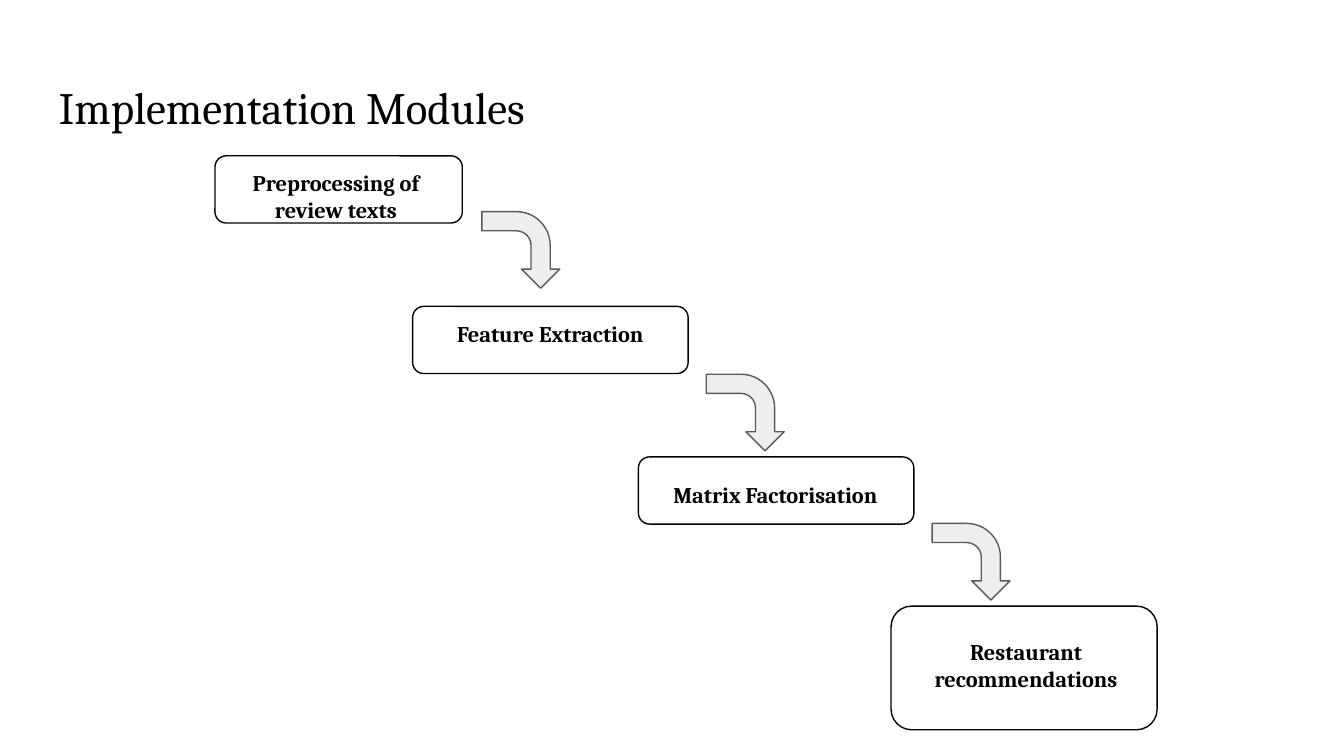
from pptx import Presentation
from pptx import util as u
from pptx.dml.color import RGBColor
from pptx.enum import shapes, text

COLORS = {"ink": "000000", "paper": "FFFFFF", "arrow": "EEEEEE", "arrow_line": "595959"}
FONT = "Cambria"
SLIDE_WIDTH = 10

MODULES = [
    ("Preprocessing of review texts", (1.6, 1.16, 1.84, 0.5), (1.58, 1.16, 1.84, 0.51)),
    ("Feature Extraction", (3.07, 2.28, 2.05, 0.5), (3.07, 2.28, 2.05, 0.5)),
    ("Matrix Factorisation", (4.75, 3.4, 2.05, 0.5), (4.8, 3.48, 1.94, 0.65)),
    ("Restaurant recommendations", (6.63, 4.51, 1.98, 0.92), (6.8, 4.65, 1.67, 0.51)),
]
ARROW_CORNERS = [(3.59, 1.57), (5.26, 2.78), (6.94, 3.89)]


def color(name):
    return RGBColor.from_string(COLORS[name])


def inches(lengths):
    return [u.Inches(length) for length in lengths]


def add_outlined(page, kind, area, fill, line):
    shape = page.shapes.add_shape(kind, *inches(area))
    shape.shadow.inherit = False
    shape.fill.solid()
    shape.fill.fore_color.rgb = color(fill)
    shape.line.color.rgb = color(line)
    shape.line.width = u.Pt(0.75)
    return shape


def add_text(page, words, area, size, bold=False, align=text.PP_ALIGN.LEFT):
    box = page.shapes.add_textbox(*inches(area))
    frame = box.text_frame
    frame.word_wrap = True
    frame.vertical_anchor = text.MSO_ANCHOR.TOP
    frame.margin_left = frame.margin_right = u.Inches(0.1)
    frame.margin_top = frame.margin_bottom = u.Inches(0.1)
    para = frame.paragraphs[0]
    para.alignment = align
    span = para.add_run()
    span.text = words
    span.font.name = FONT
    span.font.size = u.Pt(size)
    span.font.bold = bold
    span.font.color.rgb = color("ink")


def add_bent_arrow(page, left, top):
    arrow = add_outlined(page, shapes.MSO_SHAPE.BENT_ARROW, (left, top, 0.57, 0.58),
                         "arrow", "arrow_line")
    arrow.rotation = 90
    for index, value in enumerate((0.25, 0.25, 0.25, 0.44)):
        arrow.adjustments[index] = value


def main():
    deck = Presentation()
    deck.slide_width, deck.slide_height = inches((SLIDE_WIDTH, SLIDE_WIDTH * 9 / 16))
    page = deck.slides.add_slide(deck.slide_layouts[6])
    page.background.fill.solid()
    page.background.fill.fore_color.rgb = color("paper")

    add_text(page, "Implementation Modules", (0.34, 0.49, 9.32, 0.63), 24)
    for _, frame_area, _ in MODULES:
        add_outlined(page, shapes.MSO_SHAPE.FLOWCHART_ALTERNATE_PROCESS, frame_area,
                     "paper", "ink")
    for words, _, text_area in MODULES:
        add_text(page, words, text_area, 12, True, text.PP_ALIGN.CENTER)
    for left, top in ARROW_CORNERS:
        add_bent_arrow(page, left, top)

    deck.save("out.pptx")


if __name__ == "__main__":
    main()
